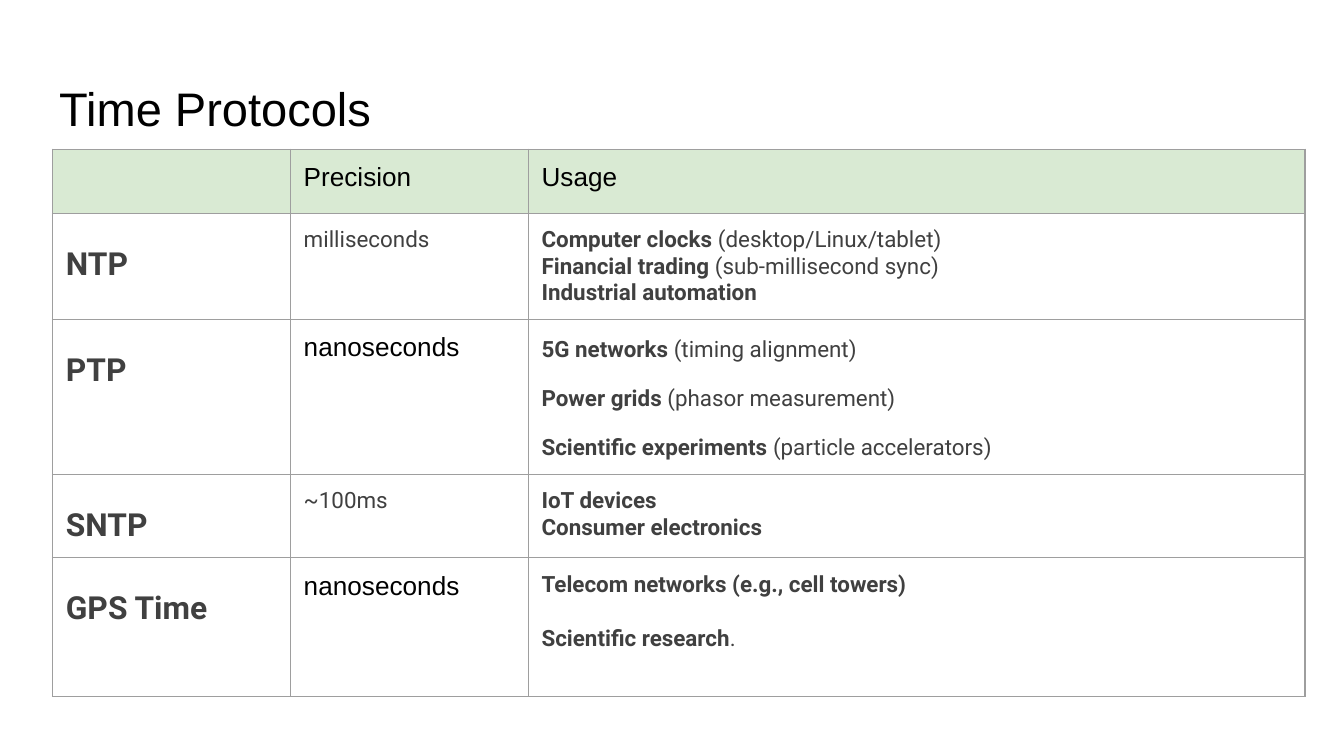
"""Build a slide with a table that compares time protocols."""
from dataclasses import dataclass

from lxml.etree import SubElement
from pptx import Presentation
from pptx.dml.color import RGBColor
from pptx.enum.text import MSO_ANCHOR, MSO_AUTO_SIZE, PP_ALIGN
from pptx.oxml.ns import qn
from pptx.util import Inches, Pt

WIDTHS = (1.77, 1.77, 5.78)
HEIGHTS = (0.48, 0.79, 1.15, 0.62, 1.03)
INSET = Inches(0.1)


@dataclass(frozen=True)
class Style:
    size: float
    font: str
    color: str
    bold: bool = False


@dataclass(frozen=True)
class Para:
    runs: tuple[tuple[str, Style], ...]
    line: float = 1.0
    before: float = 0


TITLE = Style(25.2, "Arial", "000000")
PLAIN = Style(14, "Arial", "000000")
NAME = Style(17, "Roboto", "404040", True)
BODY = Style(12, "Roboto", "404040")
BOLD = Style(12, "Roboto", "404040", True)


def rgb(code: str) -> RGBColor:
    return RGBColor.from_string(code)


def text(words: str, style: Style) -> list[Para]:
    return [Para(((words, style),))]


def name(words: str) -> list[Para]:
    return [Para(((words, NAME),), 1.5)]


def use(head: str, tail: str = "", line: float = 1.0, before: float = 0) -> Para:
    runs = ((head, BOLD), (tail, BODY)) if tail else ((head, BOLD),)
    return Para(runs, line, before)


ROWS = (
    ([], text("Precision", PLAIN), text("Usage", PLAIN)),
    (name("NTP"), text("milliseconds", BODY), [
        use("Computer clocks", " (desktop/Linux/tablet)"),
        use("Financial trading", " (sub-millisecond sync)"),
        use("Industrial automation")]),
    (name("PTP"), text("nanoseconds", PLAIN), [
        use("5G networks", " (timing alignment)", 1.15),
        use("Power grids", " (phasor measurement)", 1.15, 10),
        use("Scientific experiments", " (particle accelerators)", 1.15, 10)]),
    (name("SNTP"), text("~100ms", BODY), [
        use("IoT devices"),
        use("Consumer electronics")]),
    (name("GPS Time"), text("nanoseconds", PLAIN), [
        use("Telecom networks (e.g., cell towers)"),
        use("Scientific research", ".", 1.15, 13)]),
)


def write(frame, paras: list[Para]) -> None:
    for index, para in enumerate(paras):
        item = frame.add_paragraph() if index else frame.paragraphs[0]
        item.alignment = PP_ALIGN.LEFT
        item.line_spacing = para.line
        item.space_before = Pt(para.before)
        for words, style in para.runs:
            run = item.add_run()
            run.text = words
            run.font.size = Pt(style.size)
            run.font.name = style.font
            run.font.bold = style.bold
            run.font.color.rgb = rgb(style.color)


def pad(box) -> None:
    box.margin_left = box.margin_right = INSET
    box.margin_top = box.margin_bottom = INSET


def edge(cell, color: str, width: float) -> None:
    props = cell._tc.get_or_add_tcPr()
    for side in ("lnL", "lnR", "lnT", "lnB"):
        line = SubElement(props, qn(f"a:{side}"), w=str(Pt(width)))
        fill = SubElement(line, qn("a:solidFill"))
        SubElement(fill, qn("a:srgbClr"), val=color)


def add_title(slide, words: str) -> None:
    title = slide.shapes.title
    title.left, title.top = Inches(0.34), Inches(0.49)
    title.width, title.height = Inches(9.32), Inches(0.63)
    frame = title.text_frame
    pad(frame)
    frame.word_wrap = True
    frame.auto_size = MSO_AUTO_SIZE.NONE
    frame.vertical_anchor = MSO_ANCHOR.TOP
    write(frame, text(words, TITLE))


def add_grid(slide) -> None:
    shape = slide.shapes.add_table(
        len(ROWS), len(WIDTHS), Inches(0.39), Inches(1.11),
        Inches(sum(WIDTHS)), Inches(sum(HEIGHTS)))
    table = shape.table
    table.first_row = table.horz_banding = False
    for col, width in zip(table.columns, WIDTHS):
        col.width = Inches(width)
    for index, (row, height) in enumerate(zip(table.rows, HEIGHTS)):
        row.height = Inches(height)
        for cell, paras in zip(row.cells, ROWS[index]):
            pad(cell)
            cell.vertical_anchor = MSO_ANCHOR.TOP
            edge(cell, "9E9E9E", 0.75)
            if index == 0:
                cell.fill.solid()
                cell.fill.fore_color.rgb = rgb("D9EAD3")
            else:
                cell.fill.background()
            write(cell.text_frame, paras)
            if not paras:
                blank = cell.text_frame.paragraphs[0]._p
                SubElement(blank, qn("a:endParaRPr"), sz="1400")


def main() -> None:
    deck = Presentation()
    deck.slide_width = Inches(10)
    deck.slide_height = deck.slide_width * 9 // 16
    slide = deck.slides.add_slide(deck.slide_layouts[5])
    add_title(slide, "Time Protocols")
    add_grid(slide)
    deck.save("out.pptx")


if __name__ == "__main__":
    main()
